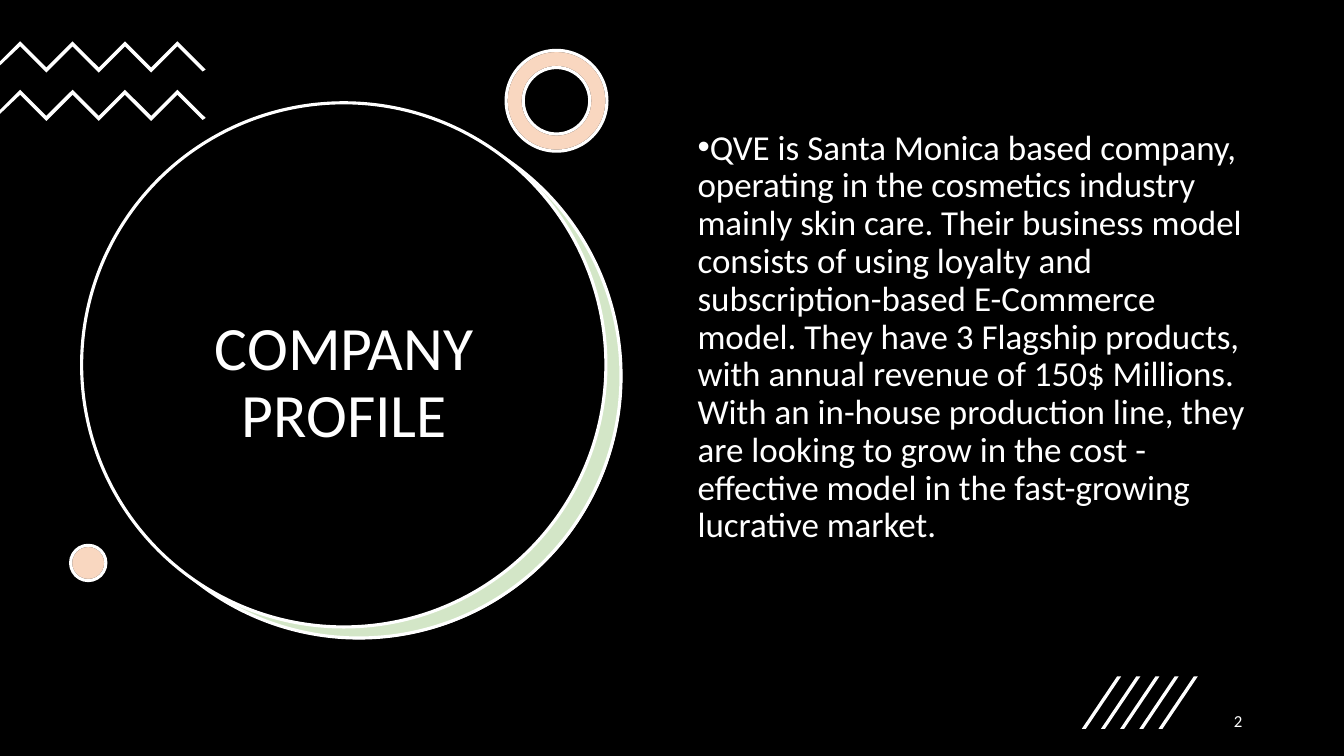
"""Build the company profile slide."""
from lxml import etree
from pptx import Presentation
from pptx.dml.color import RGBColor
from pptx.enum.shapes import MSO_SHAPE
from pptx.enum.text import MSO_ANCHOR, PP_ALIGN
from pptx.oxml.ns import qn
from pptx.util import Pt

RECT, OVAL, RING = MSO_SHAPE.RECTANGLE, MSO_SHAPE.OVAL, MSO_SHAPE.DONUT
TOP, MID = MSO_ANCHOR.TOP, MSO_ANCHOR.MIDDLE
LEFT, CENTER, RIGHT = PP_ALIGN.LEFT, PP_ALIGN.CENTER, PP_ALIGN.RIGHT
PX = 9144
THEME = {
    "black": "000000", "white": "FFFFFF", "green": "70AD47", "peach": "ED7D31",
    "font": "Calibri", "title": 44, "body": 25, "page": 12, "line": 2.25, "tint": 30,
}


def paint(shape, fill, line=None, tint=False):
    shape.shadow.inherit = False
    shape.fill.solid()
    shape.fill.fore_color.rgb = RGBColor.from_string(THEME[fill])
    if tint:
        color = shape.fill._xPr.find(qn("a:solidFill"))[0]
        etree.SubElement(color, qn("a:alpha"), val=str(THEME["tint"] * 1000))
    if line:
        shape.line.color.rgb = RGBColor.from_string(THEME[line])
        shape.line.width = Pt(THEME["line"])
    else:
        shape.line.fill.background()


def write(words, box, size, anchor, form):
    frame = slide.shapes.add_textbox(*[n * PX for n in box]).text_frame
    frame.word_wrap = True
    frame.vertical_anchor = anchor
    para = frame.paragraphs[0]
    for name, value in form.items():
        setattr(para, name, value)
    run = para.add_run()
    run.text = words
    for name, value in {"name": THEME["font"], "size": Pt(THEME[size])}.items():
        setattr(run.font, name, value)
    run.font.color.rgb = RGBColor.from_string(THEME["white"])
    return para


deck = Presentation()
deck.slide_width, deck.slide_height = 1333 * PX, 750 * PX
slide = deck.slides.add_slide(deck.slide_layouts[6])

discs = [
    (RECT, (0, 0, 1333, 750), "black", None, False),
    (OVAL, (97, 114, 520, 520), "white", None, False),
    (OVAL, (96, 113, 520, 520), "green", "white", True),
    (OVAL, (81, 102, 520, 520), "black", "white", False),
]
dots = [
    (kind, box, *look)
    for kind, box in [(RING, (502, 50, 100, 100)), (OVAL, (70, 541, 35, 35))]
    for look in [("white", "black", False), ("peach", "white", True)]
]

for kind, box, *look in discs:
    paint(slide.shapes.add_shape(kind, *[n * PX for n in box]), *look)

write("COMPANY PROFILE", (121, 205, 441, 352), "title", MID,
      {"alignment": CENTER, "line_spacing": 0.9})

waves = slide.shapes.add_group_shape()
for top in (41, 89):
    ridge = [(20 + 26 * i, top + 26 * (i % 2)) for i in range(7)]
    under = [(x, y + 5) for x, y in reversed(ridge)]
    points = ridge + [(204, top + 28), (201, top + 30)] + under + [(0, top + 24), (0, top + 20)]
    path = waves.shapes.build_freeform(*points[0], scale=PX)
    path.add_line_segments(points[1:])
    paint(path.convert_to_shape(), "white")

for kind, box, *look in dots:
    dot = slide.shapes.add_shape(kind, *[n * PX for n in box])
    if kind == RING:
        dot.adjustments[0] = 0.17
    paint(dot, *look)

story = (
    "QVE is Santa Monica based company, operating in the cosmetics industry mainly skin care. "
    "Their business model consists of using loyalty and subscription-based E-Commerce model. "
    "They have 3 Flagship products, with annual revenue of 150$ Millions. "
    "With an in-house production line, they are looking to grow in the cost - effective model "
    "in the fast-growing lucrative market."
)
body = write(story, (682, 124, 571, 476), "body", TOP,
             {"alignment": LEFT, "line_spacing": 0.9, "space_before": Pt(10)})
props = body._p.get_or_add_pPr()
for name, value in {"marL": 0, "indent": -25 * PX}.items():
    props.set(name, str(value))
etree.SubElement(props, qn("a:buFont"), typeface="Arial")
etree.SubElement(props, qn("a:buChar"), char="•")

write("2", (942, 695, 300, 40), "page", MID, {"alignment": RIGHT, "space_after": Pt(6)})

hatch = slide.shapes.add_group_shape()
for i in range(5):
    left = 1073 + 19 * i
    path = hatch.shapes.build_freeform(left + 4, 723, scale=PX)
    path.add_line_segments([(left, 723), (left + 35, 671), (left + 39, 671)])
    paint(path.convert_to_shape(), "white")

deck.save("out.pptx")
